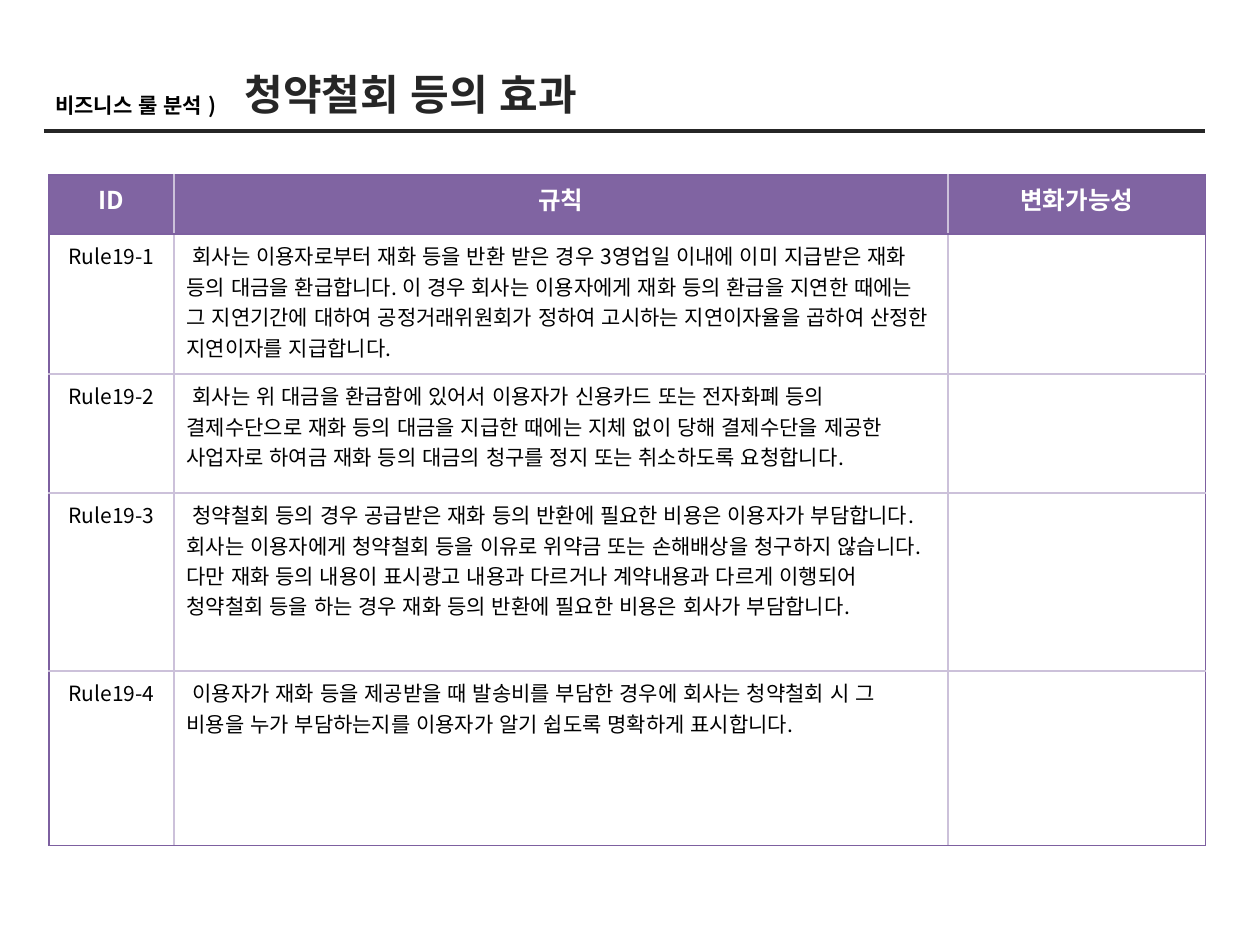
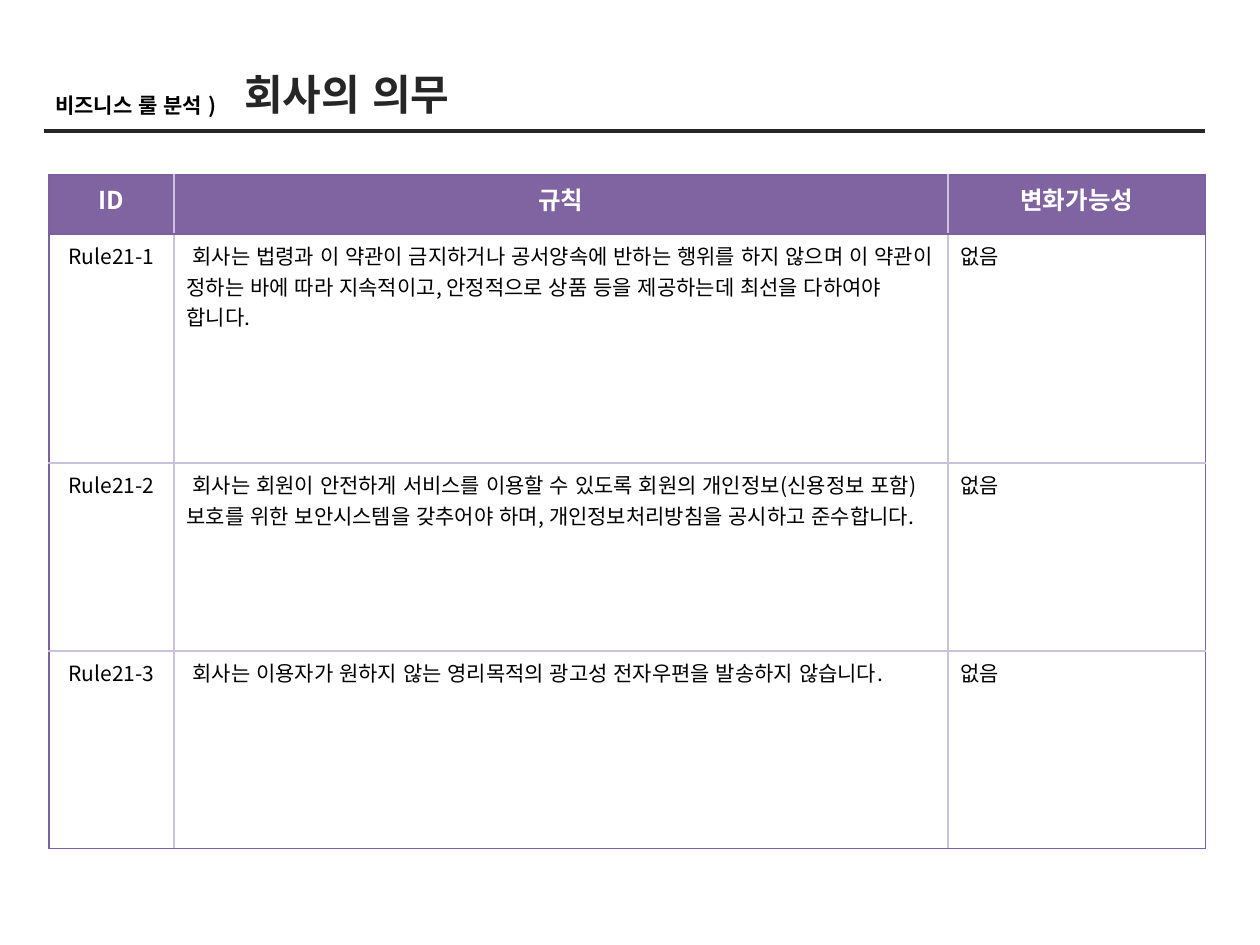
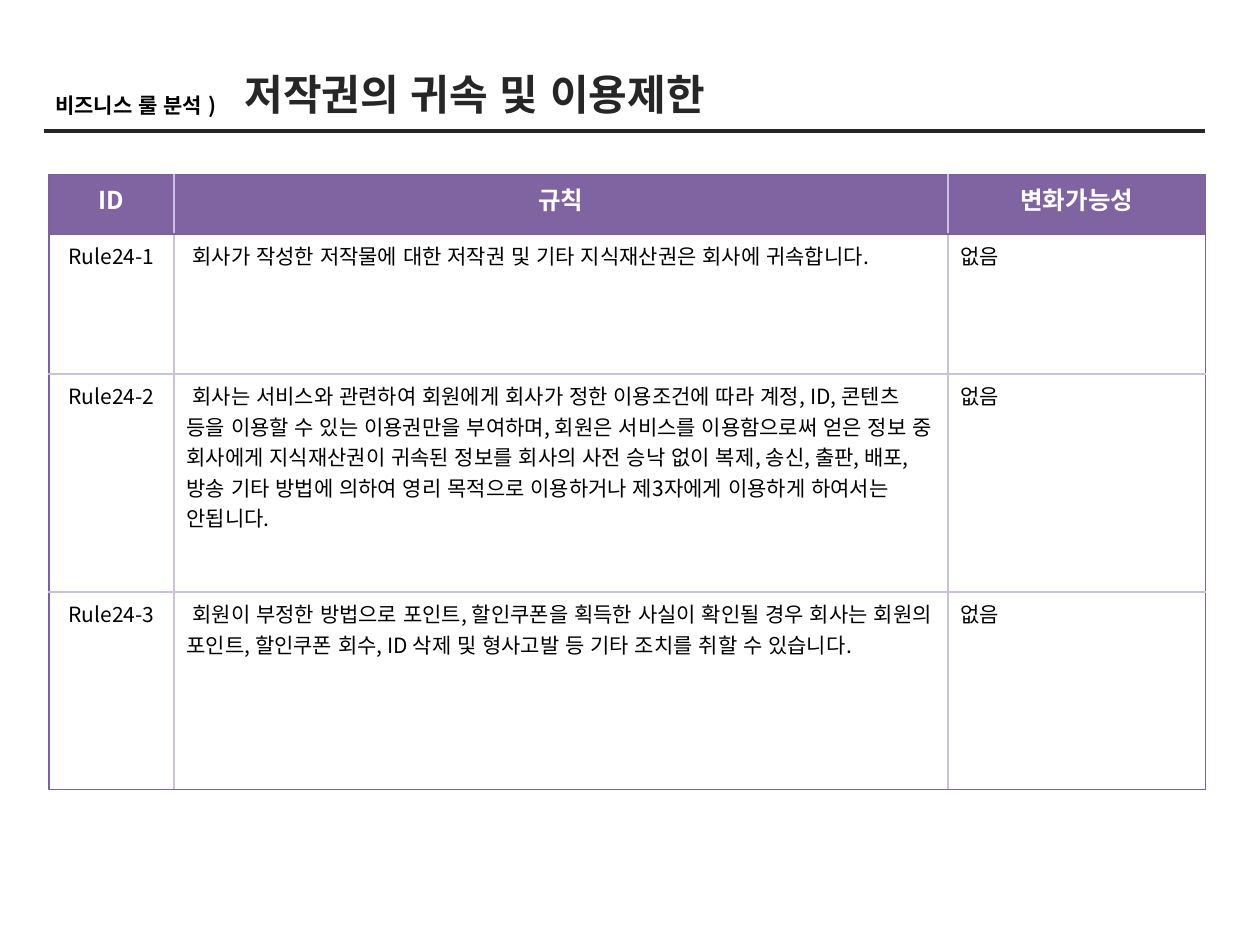
from lxml.etree import SubElement
from pptx import Presentation
from pptx.dml.color import RGBColor
from pptx.enum.lang import MSO_LANGUAGE_ID as Language
from pptx.enum.shapes import MSO_CONNECTOR as Connector
from pptx.enum.text import MSO_AUTO_SIZE as AutoSize, PP_ALIGN as Align
from pptx.oxml.ns import qn
from pptx.util import Emu, Pt

EMU_PER_PX = 914400 / 126
COLORS = {
    "text": "000000",
    "title": "262626",
    "header": "8064A2",
    "header_text": "FFFFFF",
    "body": "FFFFFF",
    "frame": "7D60A0",
    "grid": "CCC1DA",
}
KOREAN_FONT = "Noto Sans CJK KR"
STYLES = {
    "label": {"size": Pt(12), "bold": True, "name": KOREAN_FONT, "color": "text"},
    "title": {"size": Pt(24), "bold": True, "name": "Arial", "color": "title"},
    "header": {"size": Pt(14), "bold": True, "name": KOREAN_FONT, "color": "header_text"},
    "body": {"size": Pt(12), "bold": False, "name": KOREAN_FONT, "color": "text"},
}

SLIDE_SIZE = (1260, 945)
HEADING_BOX = (44, 62, 1161, 69)
TABLE_ORIGIN = (49, 175)
COLUMN_WIDTHS = (125, 774, 258)
HEADER_HEIGHT = 59
FIRST_LINE_INDENT = 6
LABEL = "비즈니스 룰 분석 )"
HEADERS = ("ID", "규칙", "변화가능성")

# Each rule: row height, ID, rule text, possibility of change
SLIDES = [
    {
        "title": "청약철회 등의 효과",
        "title_width": 394,
        "rules": [
            (140, "Rule19-1",
             "회사는 이용자로부터 재화 등을 반환 받은 경우 3영업일 이내에 이미 지급받은 재화 등의 "
             "대금을 환급합니다. 이 경우 회사는 이용자에게 재화 등의 환급을 지연한 때에는 그 "
             "지연기간에 대하여 공정거래위원회가 정하여 고시하는 지연이자율을 곱하여 산정한 "
             "지연이자를 지급합니다.", ""),
            (119, "Rule19-2",
             "회사는 위 대금을 환급함에 있어서 이용자가 신용카드 또는 전자화폐 등의 결제수단으로 "
             "재화 등의 대금을 지급한 때에는 지체 없이 당해 결제수단을 제공한 사업자로 하여금 "
             "재화 등의 대금의 청구를 정지 또는 취소하도록 요청합니다.", ""),
            (178, "Rule19-3",
             "청약철회 등의 경우 공급받은 재화 등의 반환에 필요한 비용은 이용자가 부담합니다. "
             "회사는 이용자에게 청약철회 등을 이유로 위약금 또는 손해배상을 청구하지 않습니다. "
             "다만 재화 등의 내용이 표시광고 내용과 다르거나 계약내용과 다르게 이행되어 청약철회 "
             "등을 하는 경우 재화 등의 반환에 필요한 비용은 회사가 부담합니다.", ""),
            (175, "Rule19-4",
             "이용자가 재화 등을 제공받을 때 발송비를 부담한 경우에 회사는 청약철회 시 그 비용을 "
             "누가 부담하는지를 이용자가 알기 쉽도록 명확하게 표시합니다.", ""),
        ],
    },
    {
        "title": "회사의 의무",
        "title_width": 252,
        "rules": [
            (229, "Rule21-1",
             "회사는 법령과 이 약관이 금지하거나 공서양속에 반하는 행위를 하지 않으며 이 약관이 "
             "정하는 바에 따라 지속적이고, 안정적으로 상품 등을 제공하는데 최선을 다하여야 합니다.",
             "없음"),
            (188, "Rule21-2",
             "회사는 회원이 안전하게 서비스를 이용할 수 있도록 회원의 개인정보(신용정보 포함)보호를 "
             "위한 보안시스템을 갖추어야 하며, 개인정보처리방침을 공시하고 준수합니다.", "없음"),
            (198, "Rule21-3",
             "회사는 이용자가 원하지 않는 영리목적의 광고성 전자우편을 발송하지 않습니다.", "없음"),
        ],
    },
    {
        "title": "저작권의 귀속 및 이용제한",
        "title_width": 537,
        "rules": [
            (140, "Rule24-1",
             "회사가 작성한 저작물에 대한 저작권 및 기타 지식재산권은 회사에 귀속합니다.", "없음"),
            (218, "Rule24-2",
             "회사는 서비스와 관련하여 회원에게 회사가 정한 이용조건에 따라 계정, ID, 콘텐츠 등을 "
             "이용할 수 있는 이용권만을 부여하며, 회원은 서비스를 이용함으로써 얻은 정보 중 "
             "회사에게 지식재산권이 귀속된 정보를 회사의 사전 승낙 없이 복제, 송신, 출판, 배포, "
             "방송 기타 방법에 의하여 영리 목적으로 이용하거나 제3자에게 이용하게 하여서는 "
             "안됩니다.", "없음"),
            (198, "Rule24-3",
             "회원이 부정한 방법으로 포인트, 할인쿠폰을 획득한 사실이 확인될 경우 회사는 회원의 "
             "포인트, 할인쿠폰 회수, ID 삭제 및 형사고발 등 기타 조치를 취할 수 있습니다.", "없음"),
        ],
    },
]


def px(length):
    return Emu(round(length * EMU_PER_PX))


def rgb(color):
    return RGBColor.from_string(COLORS[color])


def write(paragraph, text, style):
    """Add one run in a named style, with its East Asian font."""
    run = paragraph.add_run()
    run.text = text
    for name, value in STYLES[style].items():
        if name == "color":
            run.font.color.rgb = rgb(value)
        else:
            setattr(run.font, name, value)
    run.font.language_id = Language.KOREAN
    SubElement(run.font._element, qn("a:ea"), typeface=KOREAN_FONT)


def add_text(slide, box, text, style):
    shape = slide.shapes.add_textbox(*map(px, box))
    frame = shape.text_frame
    frame.word_wrap = False
    frame.auto_size = AutoSize.SHAPE_TO_FIT_TEXT
    write(frame.paragraphs[0], text, style)


def add_heading(slide, box, title, title_width):
    """Small label, large title and the rule along the bottom of the box."""
    left, top, width, height = box
    bottom = top + height
    line = slide.shapes.add_connector(
        Connector.STRAIGHT, px(left), px(bottom), px(left + width), px(bottom))
    line.line.color.rgb = rgb("title")
    line.line.width = Pt(2.25)
    SubElement(line._element.spPr, qn("a:effectLst"))
    add_text(slide, (left - 1, top + 24, 204, 38), LABEL, "label")
    add_text(slide, (left + 188, top, title_width, 63), title, "title")


def set_border(cell, side, color, points):
    border = SubElement(cell._tc.get_or_add_tcPr(), qn(f"a:ln{side}"), w=str(Pt(points)))
    fill = SubElement(border, qn("a:solidFill"))
    SubElement(fill, qn("a:srgbClr"), val=COLORS[color])


def style_cell(cell, row, column, last_row, last_column):
    """Dark lines around the table and below the header, pale lines inside."""
    dark_sides = {
        "L": column == 0,
        "R": column == last_column,
        "T": row <= 1,
        "B": row in (0, last_row),
    }
    for side, dark in dark_sides.items():
        set_border(cell, side, *(("frame", 0.75) if dark else ("grid", 1)))
    cell.fill.solid()
    cell.fill.fore_color.rgb = rgb("body" if row else "header")


def add_rule_table(slide, origin, rules):
    rows = [HEADERS] + [rule[1:] for rule in rules]
    heights = [HEADER_HEIGHT] + [rule[0] for rule in rules]
    size = (sum(COLUMN_WIDTHS), sum(heights))
    table = slide.shapes.add_table(
        len(rows), len(HEADERS), *map(px, origin + size)).table
    table.first_row = table.horz_banding = False
    for column, width in zip(table.columns, COLUMN_WIDTHS):
        column.width = px(width)
    for row, height in zip(table.rows, heights):
        row.height = px(height)

    for row, texts in enumerate(rows):
        for column, text in enumerate(texts):
            cell = table.cell(row, column)
            style_cell(cell, row, column, len(rows) - 1, len(HEADERS) - 1)
            paragraph = cell.text_frame.paragraphs[0]
            if row == 0 or column == 0:
                paragraph.alignment = Align.CENTER
            elif column == 1:
                properties = paragraph._p.get_or_add_pPr()
                properties.set("marL", "0")
                properties.set("indent", str(px(FIRST_LINE_INDENT)))
            if text:
                write(paragraph, text, "body" if row else "header")


def main():
    presentation = Presentation()
    presentation.slide_width, presentation.slide_height = map(px, SLIDE_SIZE)
    for content in SLIDES:
        slide = presentation.slides.add_slide(presentation.slide_layouts[6])
        add_rule_table(slide, TABLE_ORIGIN, content["rules"])
        add_heading(slide, HEADING_BOX, content["title"], content["title_width"])
    presentation.save("out.pptx")


if __name__ == "__main__":
    main()
